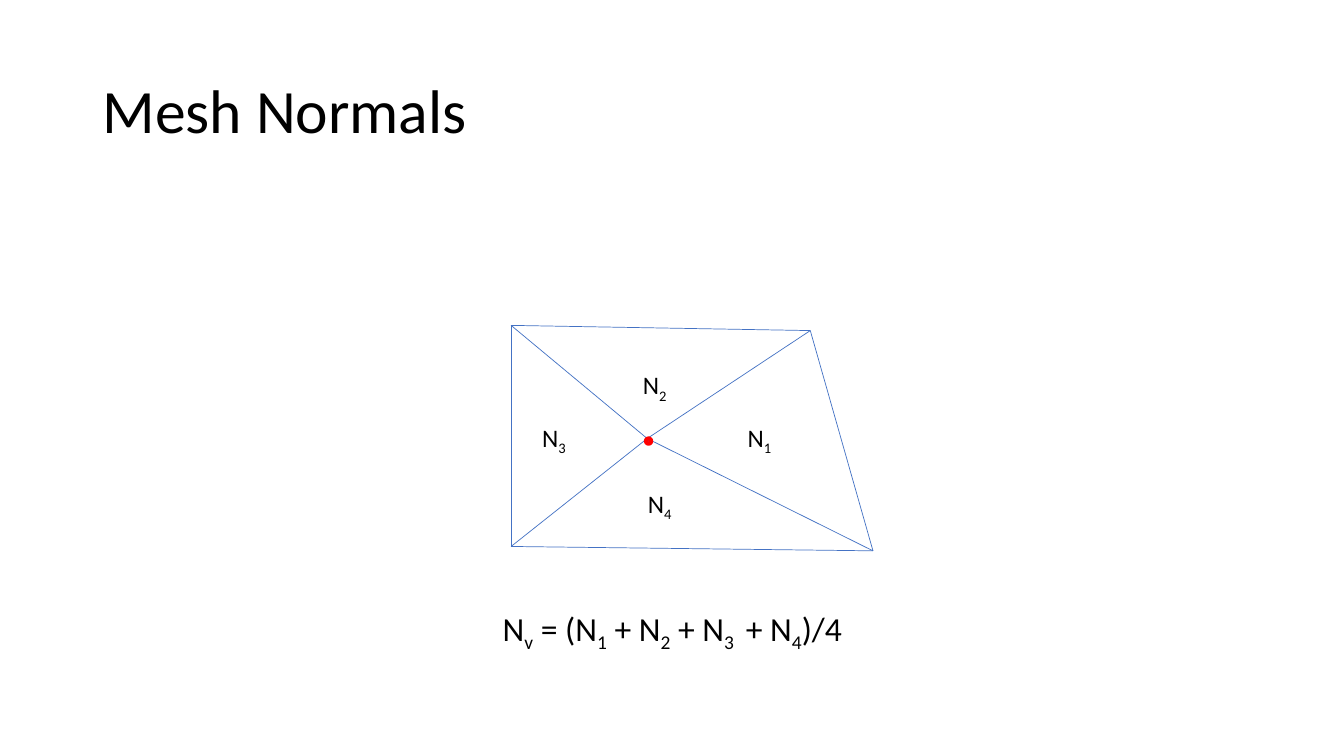
import itertools
from dataclasses import dataclass

import pptx
import pptx.dml.color
import pptx.enum.shapes
import pptx.enum.text
import pptx.util
from lxml import etree

Cm = pptx.util.Cm
Pt = pptx.util.Pt
RGBColor = pptx.dml.color.RGBColor

TITLE = "Mesh Normals"
CORNERS = [(12.88, 8.2), (20.42, 8.33), (22.0, 13.88), (12.88, 13.77)]
VERTEX = (16.31, 11.05)
DOT = (16.28, 11.05, 0.13)
FACE_NORMALS = [
    ("1", 18.59, 10.52),
    ("2", 15.95, 9.19),
    ("3", 13.41, 10.52),
    ("4", 16.08, 12.17),
]
FACE_LABEL_SIZE = (1.14, 1.02)
FORMULA = [
    ("N", "v"),
    (" = (N", "1"),
    (" + N", "2"),
    (" + N", "3 "),
    (" + N", "4"),
    (")/4", ""),
]
FORMULA_BOX = (12.42, 15.19, 9.35, 1.27)


@dataclass
class Theme:
    font: str = "Calibri"
    text: RGBColor = RGBColor.from_string("000000")
    edge: RGBColor = RGBColor.from_string("4472C4")
    dot: RGBColor = RGBColor.from_string("FF0000")
    title_size: int = 44
    label_size: int = 18
    formula_size: int = 24
    edge_width: float = 0.5
    dot_width: float = 3


theme = Theme()


def format_run(run, size):
    run.font.name = theme.font
    run.font.size = Pt(size)
    run.font.color.rgb = theme.text


def set_title(slide):
    title = slide.shapes.title
    title.left, title.top, title.width, title.height = map(Cm, (2.33, 1.01, 29.21, 3.68))
    title.text_frame.text = TITLE
    title.text_frame.vertical_anchor = pptx.enum.text.MSO_ANCHOR.MIDDLE
    paragraph = title.text_frame.paragraphs[0]
    paragraph.alignment = pptx.enum.text.PP_ALIGN.LEFT
    paragraph.line_spacing = 0.9
    format_run(paragraph.runs[0], theme.title_size)


def add_edge(slide, start, end):
    connector = slide.shapes.add_connector(
        pptx.enum.shapes.MSO_CONNECTOR.STRAIGHT, *map(Cm, start + end)
    )
    connector.line.color.rgb = theme.edge
    connector.line.width = Pt(theme.edge_width)
    properties = connector._element.spPr
    etree.SubElement(properties, pptx.oxml.ns.qn("a:effectLst"))


def add_dot(slide):
    left, top, size = map(Cm, DOT)
    dot = slide.shapes.add_shape(
        pptx.enum.shapes.MSO_SHAPE.OVAL, left, top, size, size
    )
    dot.shadow.inherit = False
    dot.fill.solid()
    dot.fill.fore_color.rgb = theme.edge
    dot.line.color.rgb = theme.dot
    dot.line.width = Pt(theme.dot_width)


def add_expression(slide, box, terms, size):
    shape = slide.shapes.add_textbox(*map(Cm, box))
    shape.text_frame.word_wrap = False
    shape.text_frame.auto_size = pptx.enum.text.MSO_AUTO_SIZE.SHAPE_TO_FIT_TEXT
    paragraph = shape.text_frame.paragraphs[0]
    for base, subscript in terms:
        for text, offset in ((base, 0), (subscript, -25000)):
            if text:
                run = paragraph.add_run()
                run.text = text
                format_run(run, size)
                if offset:
                    run.font._element.set("baseline", str(offset))


def main():
    presentation = pptx.Presentation()
    presentation.slide_width = Cm(33.87)
    presentation.slide_height = Cm(19.05)
    slide = presentation.slides.add_slide(presentation.slide_layouts[5])
    set_title(slide)
    for corner in CORNERS:
        add_edge(slide, VERTEX, corner)
    for start, end in itertools.pairwise(CORNERS + CORNERS[:1]):
        add_edge(slide, start, end)
    add_dot(slide)
    for number, left, top in FACE_NORMALS:
        add_expression(
            slide, (left, top) + FACE_LABEL_SIZE, [("N", number)], theme.label_size
        )
    add_expression(slide, FORMULA_BOX, FORMULA, theme.formula_size)
    presentation.save("out.pptx")


if __name__ == "__main__":
    main()
